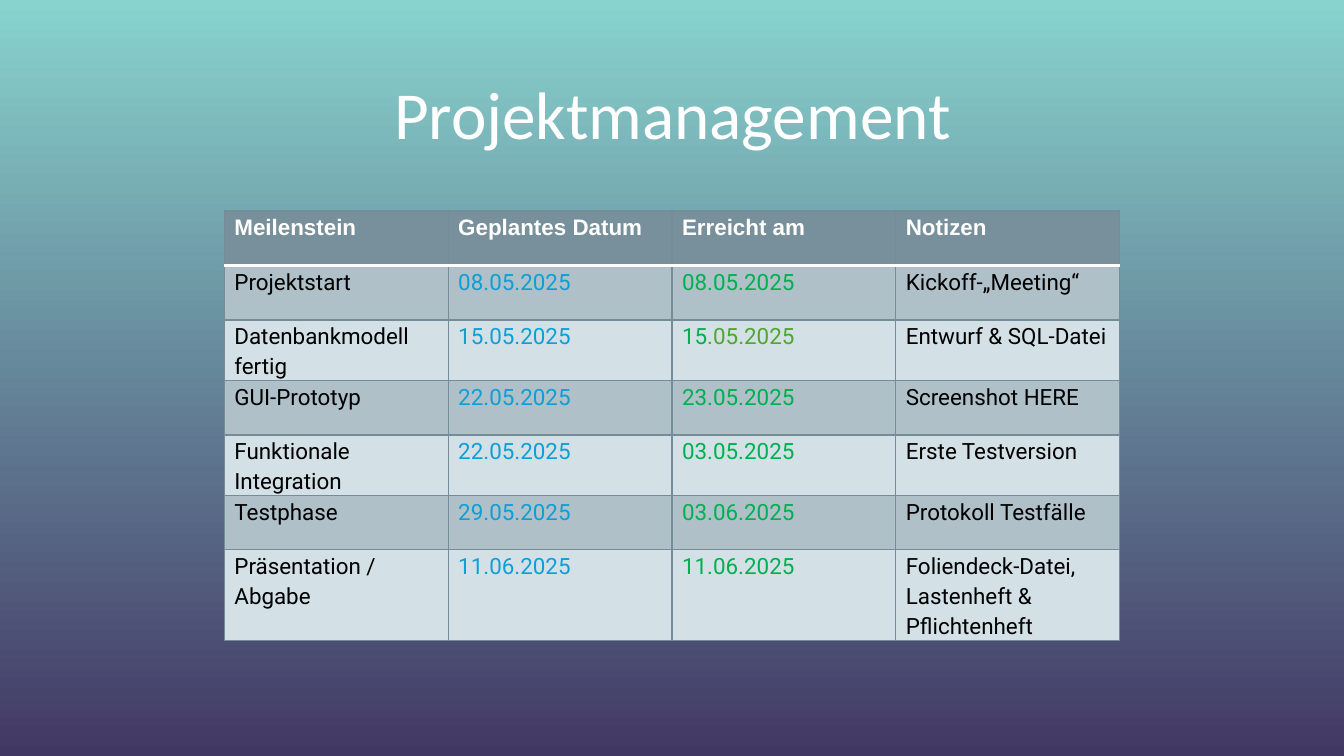
from lxml import etree
from pptx import Presentation
from pptx.dml.color import RGBColor
from pptx.enum.text import MSO_ANCHOR, PP_ALIGN
from pptx.oxml.ns import qn
from pptx.util import Cm, Pt

CENTER, LEFT = PP_ALIGN.CENTER, PP_ALIGN.LEFT
TOP = MSO_ANCHOR.TOP

MINT = RGBColor(0x88, 0xD3, 0xCE)
PURPLE = RGBColor(0x42, 0x38, 0x64)
WHITE = RGBColor(0xFF, 0xFF, 0xFF)
BLACK = RGBColor(0x00, 0x00, 0x00)
BLUE = RGBColor(0x0F, 0x9E, 0xD5)
GREEN = RGBColor(0x00, 0xB0, 0x50)
OLIVE = RGBColor(0x4E, 0xA7, 0x2E)
HEADER_FILL = RGBColor(0x78, 0x90, 0x9C)
DARK_ROW = RGBColor(0xAF, 0xC0, 0xC8)
LIGHT_ROW = RGBColor(0xD3, 0xE0, 0xE6)
GRID = RGBColor(0x74, 0x8D, 0x99)

HEADERS = ["Meilenstein", "Geplantes Datum", "Erreicht am", "Notizen"]
MILESTONES = [
    ["Projektstart", "08.05.2025", "08.05.2025", "Kickoff-„Meeting“"],
    ["Datenbankmodell fertig", "15.05.2025", "15", "Entwurf & SQL-Datei"],
    ["GUI-Prototyp", "22.05.2025", "23.05.2025", "Screenshot HERE"],
    ["Funktionale Integration", "22.05.2025", "03.05.2025", "Erste Testversion"],
    ["Testphase", "29.05.2025", "03.06.2025", "Protokoll Testfälle"],
    ["Präsentation / Abgabe", "11.06.2025", "11.06.2025",
     "Foliendeck-Datei, Lastenheft & Pflichtenheft"],
]
COLUMN_COLORS = [BLACK, BLUE, GREEN, BLACK]


def add_text(para, text, font="Roboto", size=12, color=BLACK, bold=False, align=LEFT):
    para.alignment = align
    span = para.add_run()
    span.text = text
    span.font.name = font
    span.font.size = Pt(size)
    span.font.bold = bold
    span.font.color.rgb = color


def add_border(cell, side, color, width):
    """Draw one side (L, R, T or B); call before the cell's fill is set."""
    line = etree.SubElement(cell._tc.get_or_add_tcPr(), qn(f"a:ln{side}"), w=str(Pt(width)))
    fill = etree.SubElement(line, qn("a:solidFill"))
    etree.SubElement(fill, qn("a:srgbClr"), val=str(color))


deck = Presentation()
deck.slide_width, deck.slide_height = Cm(25.4), Cm(14.29)
page = deck.slides.add_slide(deck.slide_layouts[5])

backdrop = page.background.fill
backdrop.gradient()
backdrop.gradient_angle = 270
for stop, color in zip(backdrop.gradient_stops, (MINT, PURPLE)):
    stop.color.rgb = color

title = page.shapes.title
title.left, title.top, title.width, title.height = Cm(3.12), Cm(1.12), Cm(19.18), Cm(2.62)
frame = title.text_frame
frame.margin_left = frame.margin_right = frame.margin_top = frame.margin_bottom = Cm(0.25)
frame.vertical_anchor = TOP
frame.word_wrap = True
add_text(frame.paragraphs[0], "Projektmanagement", font="Calibri", size=36,
         color=WHITE, align=CENTER)

rows = [HEADERS] + MILESTONES
row_height, column_width = 1.03, 4.23
table = page.shapes.add_table(
    len(rows), len(HEADERS), Cm(4.24), Cm(3.99),
    Cm(column_width * len(HEADERS)), Cm(row_height * len(rows))).table
for column in table.columns:
    column.width = Cm(column_width)

for row_index, texts in enumerate(rows):
    table.rows[row_index].height = Cm(row_height)
    is_header = row_index == 0
    row_fill = HEADER_FILL if is_header else (LIGHT_ROW, DARK_ROW)[row_index % 2]
    for column_index, text in enumerate(texts):
        cell = table.cell(row_index, column_index)
        cell.margin_left = cell.margin_right = Cm(0.19)
        cell.margin_top = cell.margin_bottom = 0
        for side in "LRTB":
            under_header = (row_index, side) in ((0, "B"), (1, "T"))
            add_border(cell, side, WHITE if under_header else GRID, 2 if under_header else 0.75)
        cell.fill.solid()
        cell.fill.fore_color.rgb = row_fill

        para = cell.text_frame.paragraphs[0]
        para.line_spacing = 1.15
        para.space_after = Pt(8)
        if is_header:
            add_text(para, text, font="Arial", color=WHITE, bold=True)
        else:
            add_text(para, text, color=COLUMN_COLORS[column_index])

# The database date is set in two shades of green
add_text(table.cell(2, 2).text_frame.paragraphs[0], ".05.2025", color=OLIVE)

deck.save("out.pptx")
